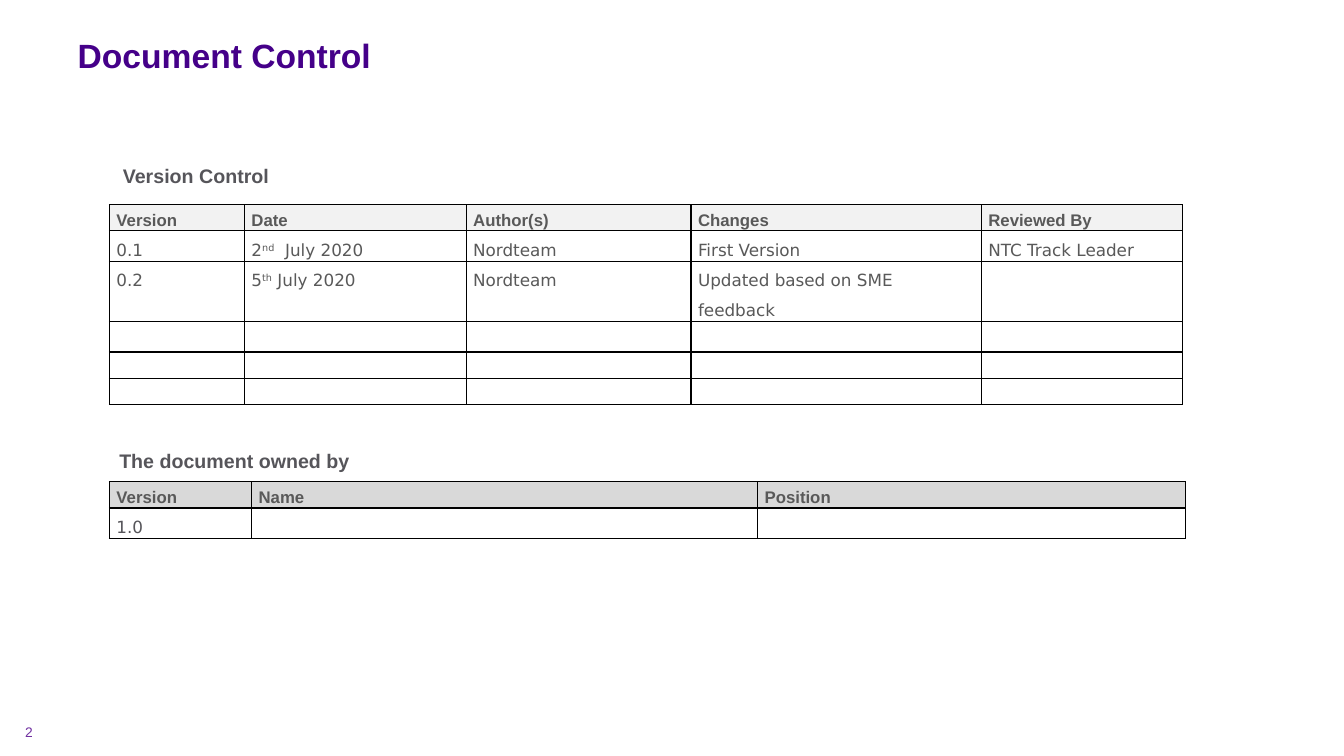
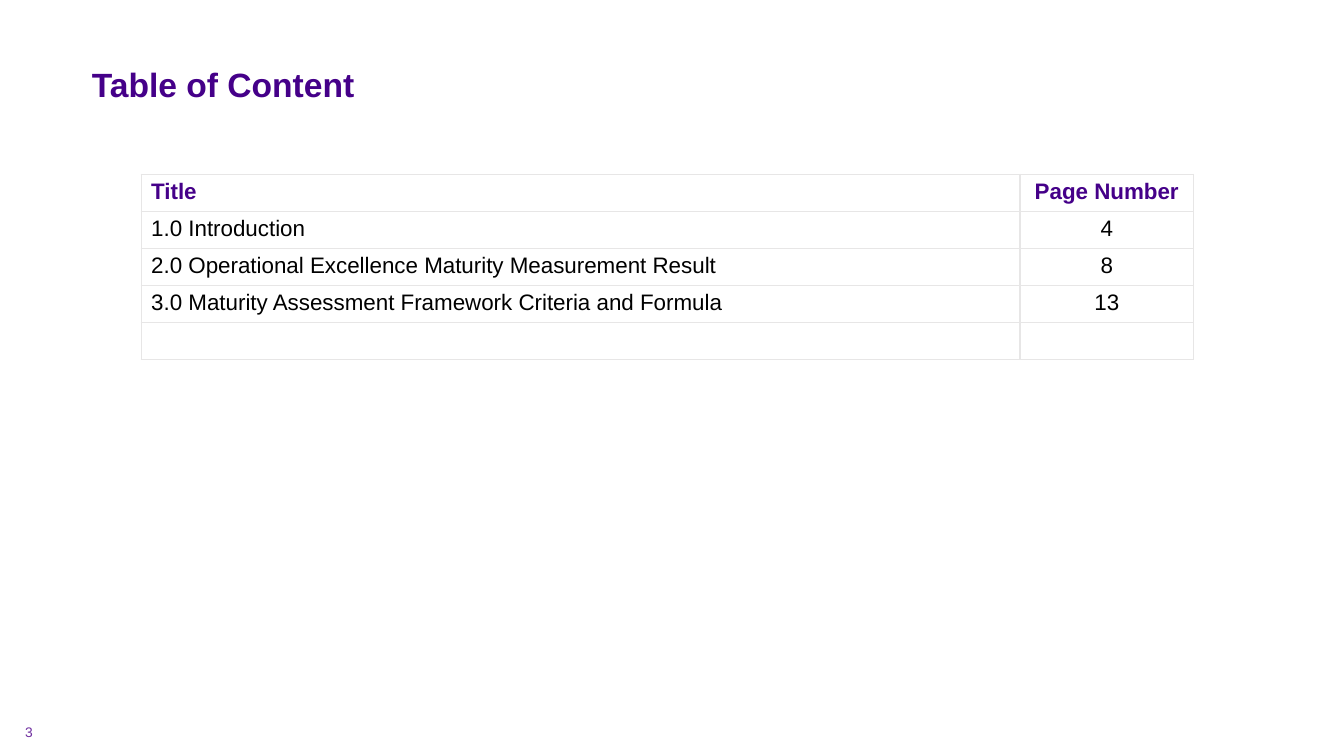
from lxml import etree
from pptx import Presentation
from pptx.dml.color import RGBColor
from pptx.enum.text import MSO_ANCHOR, PP_ALIGN
from pptx.oxml.ns import qn
from pptx.util import Inches, Pt

LEFT, CENTER, JUSTIFY = PP_ALIGN.LEFT, PP_ALIGN.CENTER, PP_ALIGN.JUSTIFY
TOP, MIDDLE = MSO_ANCHOR.TOP, MSO_ANCHOR.MIDDLE
SLIDE_W, SLIDE_H = Inches(13.33), Inches(7.5)

COLORS = {
    "title": "450089", "heading": "56555A", "table_text": "595959",
    "page": "7030A0", "ink": "000000", "paper": "FFFFFF",
    "light": "F2F2F2", "mid": "D9D9D9", "pale_rule": "E7E6E6",
}


def font(color, size, bold=False, name="Arial"):
    return {"name": name, "size": Pt(size), "bold": bold,
            "color": COLORS[color]}


# Text styles shared by both slides
TITLE = font("title", 24, True)
HEADING = font("heading", 14, True)
PAGE = font("page", 9.9)

# Paragraph and cell formats of the document control tables
HEAD_SPACING = {"line_spacing": Pt(18), "space_after": Pt(6)}
BODY_SPACING = {"line_spacing": 1.5, "space_before": Pt(6),
                "space_after": Pt(6)}
TIGHT_CELL = {"margin_left": Inches(0.07), "margin_right": Inches(0.07),
              "margin_top": 0, "margin_bottom": 0}


def across(share):
    """Percent of the slide width."""
    return round(SLIDE_W * share / 100)


def down(share):
    """Percent of the slide height."""
    return round(SLIDE_H * share / 100)


def apply(target, formats):
    for attribute, value in formats.items():
        setattr(target, attribute, value)


def style_font(target, style):
    for attribute, value in style.items():
        if attribute == "color":
            target.color.rgb = RGBColor.from_string(value)
        else:
            setattr(target, attribute, value)


def write(paragraph, text, style, **formats):
    """Fill a paragraph; parts between ^ marks are superscript."""
    apply(paragraph, formats)
    if not text:
        # An empty cell keeps the text size of its row
        end = etree.SubElement(paragraph._p, qn("a:endParaRPr"))
        end.set("sz", str(style["size"].centipoints))
        return
    for index, part in enumerate(text.split("^")):
        run = paragraph.add_run()
        run.text = part
        style_font(run.font, style)
        if index % 2:
            run._r.get_or_add_rPr().set("baseline", "30000")


def place(shape, left, top, width, height):
    apply(shape, {"left": across(left), "top": down(top),
                  "width": across(width), "height": down(height)})


def add_slide(prs, title, number, box):
    """Title-only slide with its title and page number."""
    slide = prs.slides.add_slide(prs.slide_layouts[5])
    heading = slide.shapes.title
    place(heading, *box)
    apply(heading.text_frame, {"vertical_anchor": TOP, "word_wrap": True})
    write(heading.text_frame.paragraphs[0], title, TITLE, alignment=LEFT)
    add_label(slide, number, PAGE, (1.13, 95.47, 3.68, 2.67), JUSTIFY,
              margin_top=0, margin_bottom=0)
    return slide


def add_label(slide, text, style, box, align=LEFT, **formats):
    label = slide.shapes.add_textbox(0, 0, 0, 0)
    place(label, *box)
    apply(label.text_frame,
          {"vertical_anchor": MIDDLE, "word_wrap": True, **formats})
    write(label.text_frame.paragraphs[0], text, style, alignment=align)


def set_borders(cell, color):
    properties = cell._tc.get_or_add_tcPr()
    for side in ("lnL", "lnR", "lnT", "lnB"):
        line = etree.SubElement(properties, qn(f"a:{side}"), w=str(Pt(1)))
        fill = etree.SubElement(line, qn("a:solidFill"))
        etree.SubElement(fill, qn("a:srgbClr"), val=COLORS[color])


def add_grid(slide, corner, columns, heights, rows, head, body, rule="ink",
             head_fill="paper", cell_format=None, head_spacing=None,
             body_spacing=None, aligns=None):
    """Table with a header row; columns and heights are slide shares."""
    left, top = corner
    table = slide.shapes.add_table(
        len(heights), len(columns), across(left), down(top),
        across(sum(columns)), down(sum(heights))).table
    apply(table, {"first_row": False, "horz_banding": False})
    for column, share in zip(table.columns, columns):
        column.width = across(share)
    aligns = aligns or [LEFT] * len(columns)
    for r, share in enumerate(heights):
        table.rows[r].height = down(share)
        style, spacing, fill = (
            (body, body_spacing, "paper") if r
            else (head, head_spacing, head_fill))
        texts = rows[r] if r < len(rows) else []
        for c, align in enumerate(aligns):
            cell = table.cell(r, c)
            apply(cell, cell_format or {})
            set_borders(cell, rule)
            cell.fill.solid()
            cell.fill.fore_color.rgb = RGBColor.from_string(COLORS[fill])
            write(cell.text_frame.paragraphs[0],
                  texts[c] if c < len(texts) else "", style,
                  alignment=align, **(spacing or {}))


def document_control(prs):
    slide = add_slide(prs, "Document Control", "2", (5.03, 4, 90, 7.73))
    shared = {"head": font("table_text", 12, True),
              "cell_format": TIGHT_CELL, "head_spacing": HEAD_SPACING,
              "body_spacing": BODY_SPACING}

    # Version history
    add_label(slide, "Version Control", HEADING, (8.4, 21.07, 13.5, 4.4))
    add_grid(slide, (8.14, 27.07), (10.05, 16.5, 16.73, 21.6, 15),
             (3.47, 4, 8, 4, 3.47, 3.47), [
                 ["Version", "Date", "Author(s)", "Changes", "Reviewed By"],
                 ["0.1", "2^nd^  July 2020", "Nordteam", "First Version",
                  "NTC Track Leader"],
                 ["0.2", "5^th^ July 2020", "Nordteam",
                  "Updated based on SME feedback"],
             ], body=font("table_text", 12, name="DejaVu Sans"),
             head_fill="light", **shared)

    # Owners
    add_label(slide, "The document owned by", HEADING,
              (8.14, 58.67, 20, 4.4))
    add_grid(slide, (8.14, 63.73), (10.58, 37.65, 31.87), (3.47, 4),
             [["Version", "Name", "Position"], ["1.0"]],
             body=font("heading", 12, name="DejaVu Sans"),
             head_fill="mid", **shared)


def table_of_content(prs):
    slide = add_slide(prs, "Table of Content", "3",
                      (6.08, 7.73, 22.13, 6.67))
    add_grid(slide, (10.5, 23.07), (65.4, 12.9), [4.89] * 5, [
        ["Title", "Page Number"],
        ["1.0 Introduction", "4"],
        ["2.0 Operational Excellence Maturity Measurement Result", "8"],
        ["3.0 Maturity Assessment Framework Criteria and Formula", "13"],
    ], head=font("title", 16, True), body=font("ink", 16),
        rule="pale_rule", aligns=(LEFT, CENTER))


def main():
    prs = Presentation()
    apply(prs, {"slide_width": SLIDE_W, "slide_height": SLIDE_H})
    document_control(prs)
    table_of_content(prs)
    prs.save("out.pptx")


if __name__ == "__main__":
    main()
